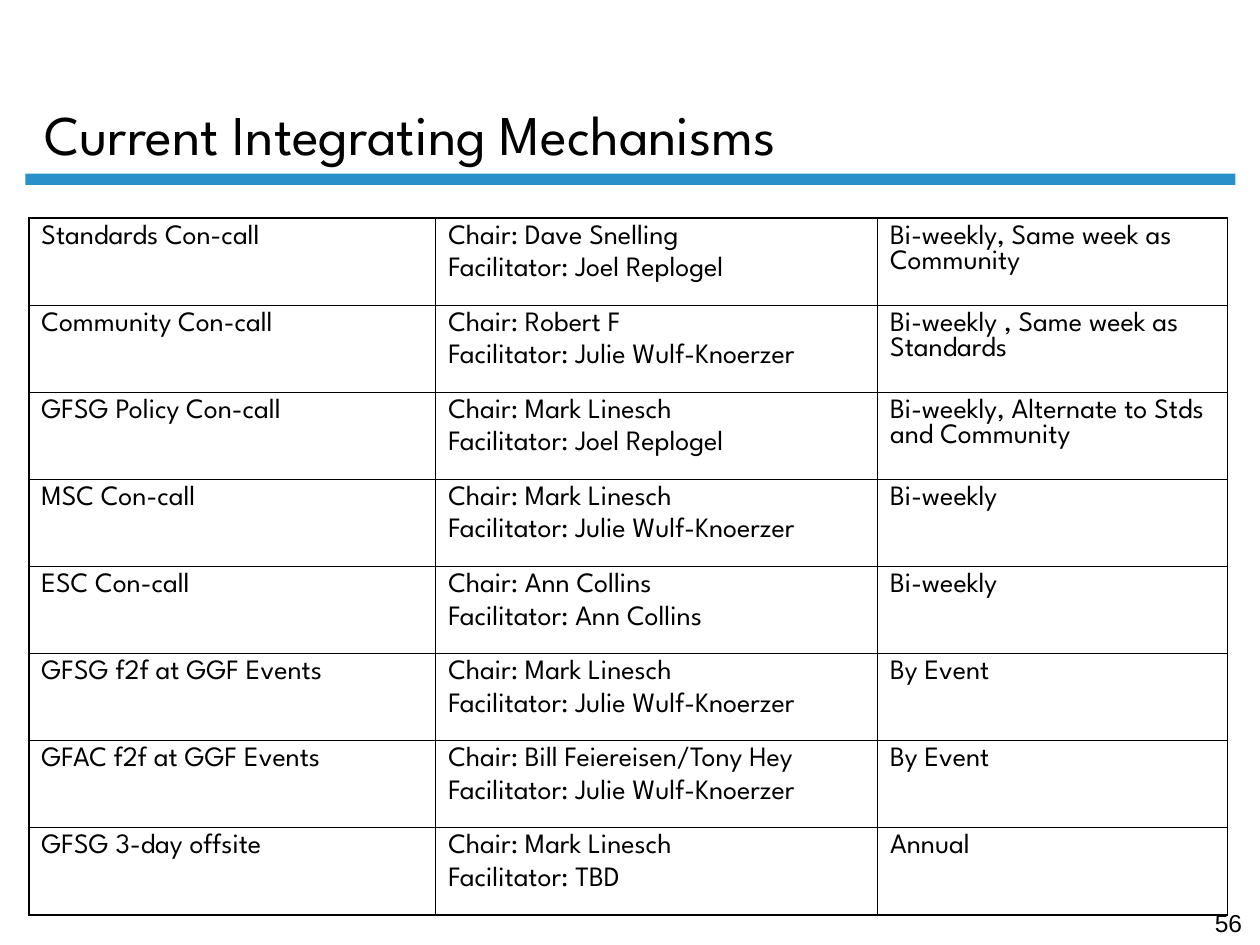
from typing import NamedTuple

from lxml import etree
from pptx import Presentation
from pptx.dml.color import RGBColor
from pptx.enum import shapes, text
from pptx.oxml import ns
from pptx.util import Pt

FONT = "League Spartan"
BLACK = "000000"
BLUE = "2990CA"
THICK, THIN = 1.08, 0.45
COLUMN_WIDTHS = (232.5, 252.5, 200)
ROW_HEIGHT = 49.75


class Meeting(NamedTuple):
    name: str
    chair: str
    facilitator: str
    schedule: str


MEETINGS = [
    Meeting("Standards Con-call", "Dave Snelling", "Joel Replogel",
            "Bi-weekly, Same week as Community"),
    Meeting("Community Con-call", "Robert F", "Julie Wulf-Knoerzer",
            "Bi-weekly , Same week as Standards"),
    Meeting("GFSG Policy Con-call", "Mark Linesch", "Joel Replogel",
            "Bi-weekly, Alternate to Stds and Community"),
    Meeting("MSC Con-call", "Mark Linesch", "Julie Wulf-Knoerzer", "Bi-weekly"),
    Meeting("ESC Con-call", "Ann Collins", "Ann Collins", "Bi-weekly"),
    Meeting("GFSG f2f at GGF Events", "Mark Linesch", "Julie Wulf-Knoerzer", "By Event"),
    Meeting("GFAC f2f at GGF Events", "Bill Feiereisen/Tony Hey", "Julie Wulf-Knoerzer",
            "By Event"),
    Meeting("GFSG 3-day offsite", "Mark Linesch", "TBD", "Annual"),
]


def color(value: str) -> RGBColor:
    return RGBColor.from_string(value)


def style_text(para, size: float, name: str = FONT) -> None:
    para.font.size = Pt(size)
    para.font.name = name
    para.font.color.rgb = color(BLACK)


def add_title(page, wording: str) -> None:
    title = page.shapes.title
    title.left, title.top, title.width, title.height = Pt(18), Pt(9), Pt(616), Pt(90)
    frame = title.text_frame
    frame.text = wording
    frame.auto_size = text.MSO_AUTO_SIZE.NONE
    frame.vertical_anchor = text.MSO_ANCHOR.BOTTOM
    para = frame.paragraphs[0]
    para.alignment = text.PP_ALIGN.LEFT
    style_text(para, 32)


def add_title_rule(page) -> None:
    rule = page.shapes.add_shape(shapes.MSO_SHAPE.RECTANGLE,
                                 Pt(14.5), Pt(99.25), Pt(691.5), Pt(6.5))
    rule.shadow.inherit = False
    rule.fill.solid()
    rule.fill.fore_color.rgb = color(BLUE)
    rule.line.fill.background()


def add_page_number(page, number: str) -> None:
    box = page.shapes.add_textbox(Pt(686), Pt(515.5), Pt(32), Pt(24.5))
    box.text_frame.word_wrap = True
    para = box.text_frame.paragraphs[0]
    para.text = number
    para.alignment = text.PP_ALIGN.CENTER
    style_text(para, 14, "Arial")


def set_borders(cell, left: float, right: float, top: float, bottom: float) -> None:
    properties = cell._tc.get_or_add_tcPr()
    for side, width in zip("LRTB", (left, right, top, bottom)):
        line = etree.SubElement(properties, ns.qn(f"a:ln{side}"), w=str(Pt(width)))
        fill = etree.SubElement(line, ns.qn("a:solidFill"))
        etree.SubElement(fill, ns.qn("a:srgbClr"), val=BLACK)


def fill_cell(cell, lines: list[str]) -> None:
    cell.fill.background()
    cell.text = "\n".join(lines)
    for index, para in enumerate(cell.text_frame.paragraphs):
        if index:
            para.space_before = Pt(4)
        style_text(para, 16)


def add_meeting_table(page, meetings: list[Meeting]) -> None:
    row_count, column_count = len(meetings), len(COLUMN_WIDTHS)
    table = page.shapes.add_table(row_count, column_count, Pt(16.5), Pt(124.75),
                                  Pt(sum(COLUMN_WIDTHS)), Pt(ROW_HEIGHT * row_count)).table
    table.first_row = table.horz_banding = False
    for column, width in zip(table.columns, COLUMN_WIDTHS):
        column.width = Pt(width)
    for r, meeting in enumerate(meetings):
        table.rows[r].height = Pt(ROW_HEIGHT)
        people = [f"Chair: {meeting.chair}", f"Facilitator: {meeting.facilitator}"]
        for c, lines in enumerate(([meeting.name], people, [meeting.schedule])):
            cell = table.cell(r, c)
            set_borders(cell,
                        left=THICK if c == 0 else THIN,
                        right=THICK if c == column_count - 1 else THIN,
                        top=THICK if r == 0 else THIN,
                        bottom=THICK if r == row_count - 1 else THIN)
            fill_cell(cell, lines)


def main() -> None:
    deck = Presentation()
    deck.slide_width, deck.slide_height = Pt(720), Pt(540)
    page = deck.slides.add_slide(deck.slide_layouts.get_by_name("Title Only"))
    add_title_rule(page)
    add_page_number(page, "56")
    add_title(page, "Current Integrating Mechanisms")
    add_meeting_table(page, MEETINGS)
    deck.save("out.pptx")


if __name__ == "__main__":
    main()
